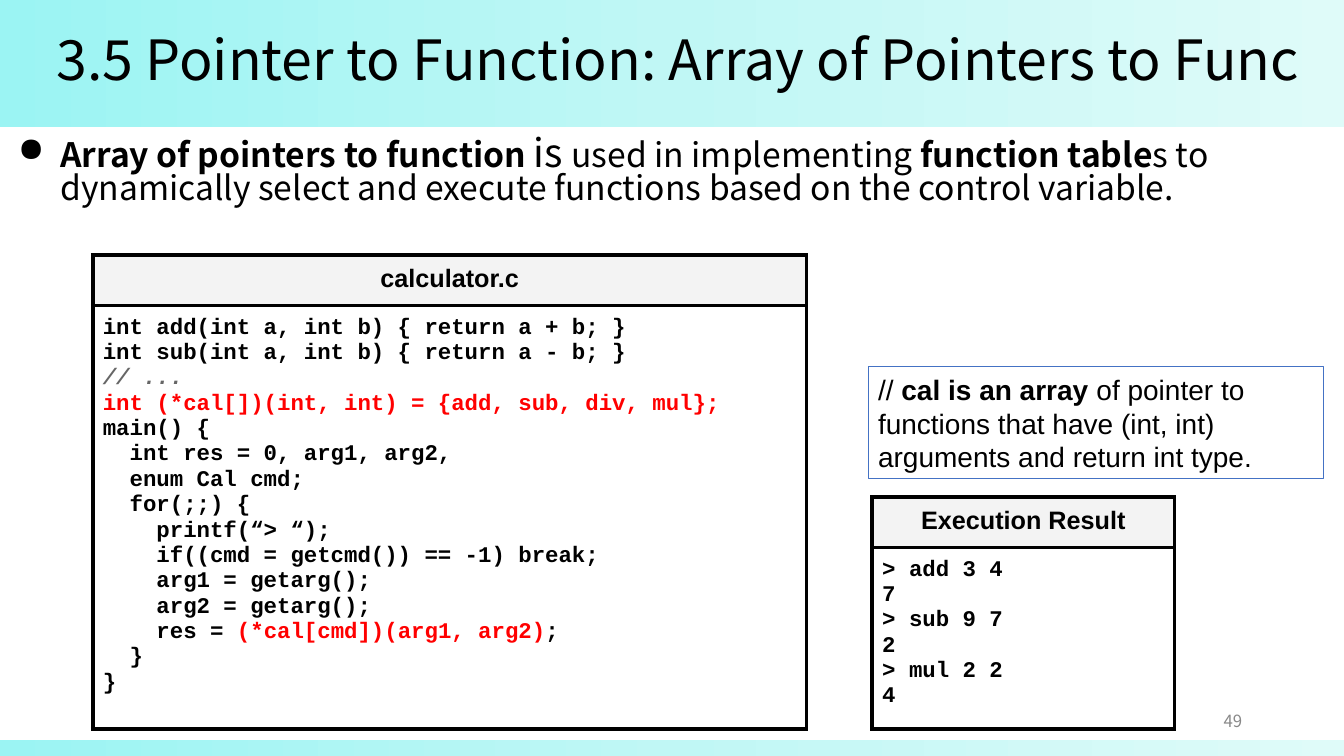
from copy import deepcopy

from lxml import etree
from pptx import Presentation
from pptx.dml.color import RGBColor
from pptx.enum import shapes, text
from pptx.oxml import ns
from pptx.util import Inches, Pt

BLACK = RGBColor(0x00, 0x00, 0x00)
WHITE = RGBColor(0xFF, 0xFF, 0xFF)
RED = RGBColor(0xFF, 0x00, 0x00)
COMMENT_GRAY = RGBColor(0x66, 0x66, 0x66)
NUMBER_GRAY = RGBColor(0x88, 0x88, 0x88)
HEADER_GRAY = RGBColor(0xF3, 0xF3, 0xF3)
NOTE_BLUE = RGBColor(0x44, 0x72, 0xC4)
BAND_COLORS = (
    RGBColor(0x9B, 0xF4, 0xF3),
    RGBColor(0xC0, 0xF7, 0xF5),
    RGBColor(0xDF, 0xFB, 0xF9),
)

BODY_FONT = "Noto Sans CJK KR"
LABEL_FONT = "Arial"
CODE_FONT = "Courier New"

# Each line is a list of (text, colour) runs
CODE_LINES = [
    [("int add(int a, int b) { return a + b; }", BLACK)],
    [("int sub(int a, int b) { return a - b; }", BLACK)],
    [("// ...", COMMENT_GRAY)],
    [("int (*cal[])(int, int) = {add, sub, div, mul};", RED)],
    [("main() {", BLACK)],
    [("  int res = 0, arg1, arg2,", BLACK)],
    [("  enum Cal cmd;", BLACK)],
    [("  for(;;) {", BLACK)],
    [("    printf(“> “);", BLACK)],
    [("    if((cmd = getcmd()) == -1) break;", BLACK)],
    [("    arg1 = getarg();", BLACK)],
    [("    arg2 = getarg();", BLACK)],
    [("    res = ", BLACK), ("(*cal[cmd])(arg1, arg2)", RED), (";", BLACK)],
    [("  }", BLACK)],
    [("}", BLACK)],
]
RESULT_LINES = [
    [(line, BLACK)] for line in ("> add 3 4", "7", "> sub 9 7", "2", "> mul 2 2", "4")
]


def add_run(paragraph, words, font, size, color=BLACK, bold=False, italic=False):
    run = paragraph.add_run()
    run.text = words
    run.font.name = font
    run.font.size = Pt(size)
    run.font.color.rgb = color
    run.font.bold = bold
    run.font.italic = italic
    # East Asian characters and curly quotes use the same typeface
    east_asian = etree.SubElement(run.font._element, ns.qn("a:ea"))
    east_asian.set("typeface", font)


def add_band(slide, top, height):
    band = slide.shapes.add_shape(
        shapes.MSO_SHAPE.RECTANGLE, 0, Inches(top), Inches(13.33), Inches(height))
    band.shadow.inherit = False
    band.line.fill.background()
    band.fill.gradient()
    band.fill.gradient_angle = 0
    # The default gradient has two stops; a third goes at the end
    stop_list = band._element.spPr.find(".//" + ns.qn("a:gsLst"))
    stop_list.append(deepcopy(stop_list[-1]))
    for index, stop in enumerate(band.fill.gradient_stops):
        stop.position = index / 2
        stop.color.rgb = BAND_COLORS[index]


def add_text_box(slide, left, top, width, height, anchor=text.MSO_ANCHOR.TOP):
    box = slide.shapes.add_textbox(
        Inches(left), Inches(top), Inches(width), Inches(height))
    box.text_frame.word_wrap = True
    box.text_frame.vertical_anchor = anchor
    return box.text_frame.paragraphs[0]


def add_bullet(paragraph):
    properties = paragraph._p.get_or_add_pPr()
    properties.set("marL", str(Inches(0.5)))
    properties.set("indent", str(Inches(-0.42)))
    bullet = etree.SubElement(properties, ns.qn("a:buChar"))
    bullet.set("char", "●")


def style_cell(cell, fill_color):
    cell.margin_left = cell.margin_right = Inches(0.1)
    cell.margin_top = cell.margin_bottom = Inches(0.1)
    properties = cell._tc.get_or_add_tcPr()
    for side in ("lnL", "lnR", "lnT", "lnB"):
        border = etree.SubElement(properties, ns.qn("a:" + side), w=str(Pt(3)))
        fill = etree.SubElement(border, ns.qn("a:solidFill"))
        etree.SubElement(fill, ns.qn("a:srgbClr"), val=str(BLACK))
    cell.fill.solid()
    cell.fill.fore_color.rgb = fill_color


def add_listing(slide, left, top, width, body_height, heading, lines):
    header_height = 0.48
    table = slide.shapes.add_table(
        2, 1, Inches(left), Inches(top), Inches(width),
        Inches(header_height + body_height)).table
    table.first_row = table.horz_banding = False
    table.rows[0].height = Inches(header_height)
    table.rows[1].height = Inches(body_height)
    header, body = table.cell(0, 0), table.cell(1, 0)
    style_cell(header, HEADER_GRAY)
    style_cell(body, WHITE)

    paragraph = header.text_frame.paragraphs[0]
    paragraph.alignment = text.PP_ALIGN.CENTER
    add_run(paragraph, heading, LABEL_FONT, 18, bold=True)
    for index, line in enumerate(lines):
        frame = body.text_frame
        paragraph = frame.add_paragraph() if index else frame.paragraphs[0]
        for words, color in line:
            add_run(paragraph, words, CODE_FONT, 16, color,
                    bold=True, italic=color == COMMENT_GRAY)


def add_note(slide):
    note = slide.shapes.add_shape(
        shapes.MSO_SHAPE.RECTANGLE,
        Inches(8.61), Inches(3.64), Inches(4.52), Inches(1.11))
    note.shadow.inherit = False
    note.fill.solid()
    note.fill.fore_color.rgb = WHITE
    note.line.color.rgb = NOTE_BLUE
    note.line.width = Pt(0.75)
    note.text_frame.word_wrap = True
    paragraph = note.text_frame.paragraphs[0]
    paragraph.alignment = text.PP_ALIGN.LEFT
    add_run(paragraph, "// ", LABEL_FONT, 20)
    add_run(paragraph, "cal is an array ", LABEL_FONT, 20, bold=True)
    add_run(paragraph, "of pointer to functions that have (int, int) "
            "arguments and return int type.", LABEL_FONT, 20)


def main():
    presentation = Presentation()
    presentation.slide_width = Inches(13.33)
    presentation.slide_height = Inches(7.5)
    slide = presentation.slides.add_slide(presentation.slide_layouts[6])

    # Footer and title bands
    add_band(slide, 7.34, 0.16)
    add_band(slide, 0, 1.26)

    # Title
    title = add_text_box(slide, 0.46, 0.27, 12.87, 0.7, text.MSO_ANCHOR.MIDDLE)
    title.line_spacing = 0.9
    add_run(title, "3.5 Pointer to Function: Array of Pointers to Func", BODY_FONT, 39.6)

    # Explanation
    explanation = add_text_box(slide, 0, 1.31, 13.13, 1.02)
    explanation.line_spacing = 0.8
    explanation.space_before = Pt(10)
    add_bullet(explanation)
    for words, size, bold in (
        ("Array of pointers to function ", 24, True),
        ("is ", 28, False),
        ("used in implementing ", 24, False),
        ("function table", 24, True),
        ("s to dynamically select and execute functions "
         "based on the control variable.", 24, False),
    ):
        add_run(explanation, words, BODY_FONT, size, bold=bold)

    # Page number
    number = add_text_box(slide, 9.42, 6.95, 3, 0.4, text.MSO_ANCHOR.MIDDLE)
    number.alignment = text.PP_ALIGN.RIGHT
    add_run(number, "49", BODY_FONT, 12, NUMBER_GRAY)

    # Program, its output and the note on the array
    add_listing(slide, 0.92, 2.53, 7.08, 3.98, "calculator.c", CODE_LINES)
    add_listing(slide, 8.65, 4.93, 3, 1.71, "Execution Result", RESULT_LINES)
    add_note(slide)

    presentation.save("out.pptx")


if __name__ == "__main__":
    main()
